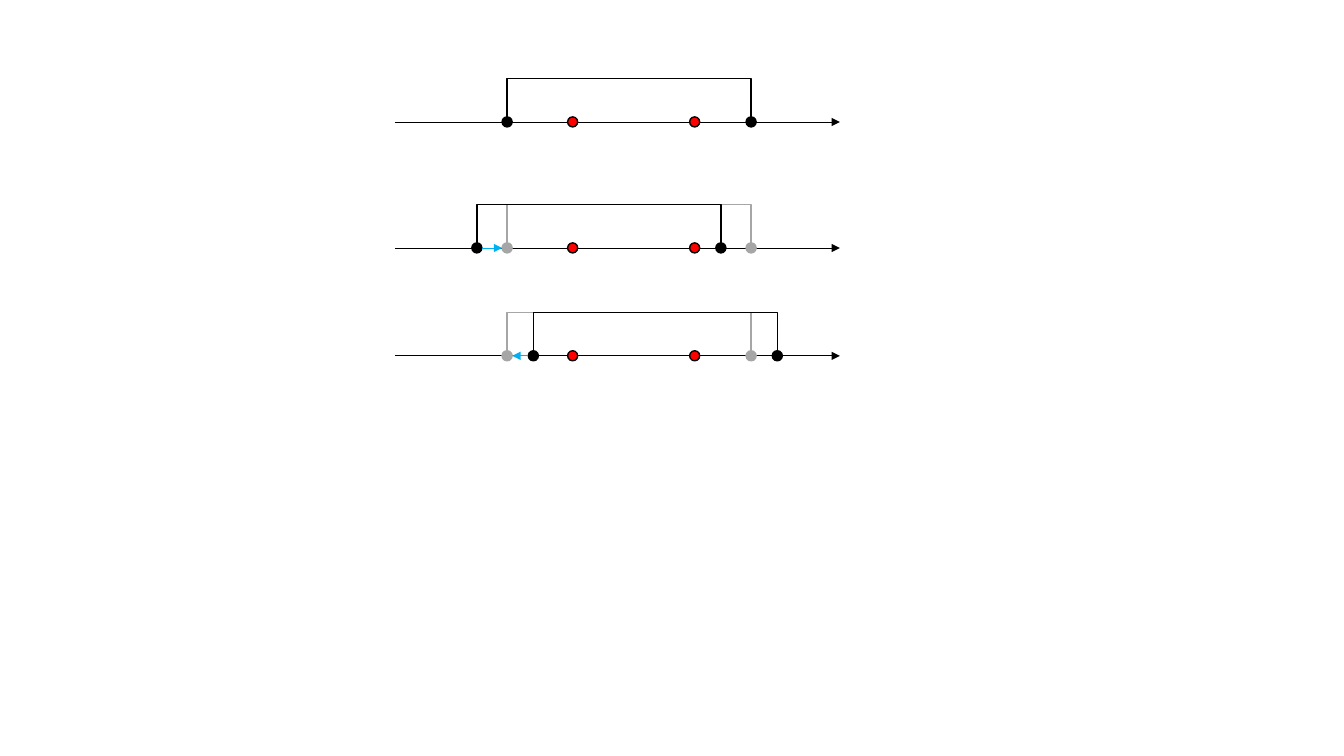
from dataclasses import dataclass

from lxml.etree import SubElement
from pptx import Presentation
from pptx.dml.color import RGBColor
from pptx.enum.shapes import MSO_CONNECTOR as Connector, MSO_SHAPE as Shape
from pptx.oxml.ns import qn
from pptx.util import Inches, Pt


@dataclass(frozen=True)
class Theme:
    """Colours and line widths of the slide."""
    black: RGBColor = RGBColor.from_string("000000")
    grey: RGBColor = RGBColor.from_string("A6A6A6")
    red: RGBColor = RGBColor.from_string("FF0000")
    blue: RGBColor = RGBColor.from_string("00B0F0")
    outline: float = 1
    arrow: float = 0.5


@dataclass(frozen=True)
class Box:
    """Area of one number line, in inches; the axis is its bottom edge."""
    left: float
    top: float
    width: float
    height: float

    @property
    def axis(self):
        """Return the height of the axis on the slide."""
        return self.top + self.height


THEME = Theme()
SLIDE_SIZE = (13.33, 7.5)
ROW_LEFT, ROW_WIDTH, ROW_HEIGHT = 3.92, 4.41, 0.43
ROWS = [(0.78, 0), (2.03, -0.3), (3.1, 0.26)]
DOT = 0.1
HOME, SPAN = 1.11, 2.42
TARGETS = (1.76, 2.97)


def add_arrow(shapes, start, end, y, color):
    """Draw a horizontal line with a triangle at its end."""
    arrow = shapes.add_connector(
        Connector.STRAIGHT, Inches(start), Inches(y), Inches(end), Inches(y))
    arrow.line.color.rgb = color
    arrow.line.width = Pt(THEME.arrow)
    SubElement(arrow.line._get_or_add_ln(), qn("a:tailEnd"), type="triangle")
    SubElement(arrow._element.spPr, qn("a:effectLst"))


def set_outline(shape, color):
    """Give a shape its outline and no shadow."""
    shape.shadow.inherit = False
    shape.line.color.rgb = color
    shape.line.width = Pt(THEME.outline)


def add_dot(shapes, x, y, fill, outline):
    """Draw a dot centred on a point."""
    dot = shapes.add_shape(Shape.OVAL, Inches(x - DOT / 2), Inches(y - DOT / 2),
                           Inches(DOT), Inches(DOT))
    dot.fill.solid()
    dot.fill.fore_color.rgb = fill
    set_outline(dot, outline)


def add_bracket(slide, box, offset, color):
    """Draw a grouped bracket with a dot at each foot."""
    shapes = slide.shapes.add_group_shape().shapes
    left = box.left + offset
    right = left + SPAN
    for x in (right, left):
        add_dot(shapes, x, box.axis, color, color)
    builder = shapes.build_freeform(Inches(left), Inches(box.axis), scale=1.0)
    corners = [(left, box.top), (right, box.top), (right, box.axis)]
    builder.add_line_segments(
        [(Inches(x), Inches(y)) for x, y in corners], close=False)
    bracket = builder.convert_to_shape()
    bracket.fill.background()
    set_outline(bracket, color)


def add_number_line(slide, box, shift):
    """Draw an axis, its targets, and a bracket moved by the shift."""
    add_arrow(slide.shapes, box.left, box.left + box.width, box.axis, THEME.black)
    for target in TARGETS:
        add_dot(slide.shapes, box.left + target, box.axis, THEME.red, THEME.black)
    if shift:
        add_bracket(slide, box, HOME, THEME.grey)
    add_bracket(slide, box, HOME + shift, THEME.black)
    if shift:
        home = box.left + HOME
        edge = DOT / 2 if shift > 0 else -DOT / 2
        add_arrow(slide.shapes, home + shift - edge, home + edge, box.axis, THEME.blue)


def main():
    """Build the slide and save it."""
    presentation = Presentation()
    presentation.slide_width, presentation.slide_height = map(Inches, SLIDE_SIZE)
    slide = presentation.slides.add_slide(presentation.slide_layouts[6])
    for top, shift in ROWS:
        add_number_line(slide, Box(ROW_LEFT, top, ROW_WIDTH, ROW_HEIGHT), shift)
    presentation.save("out.pptx")


if __name__ == "__main__":
    main()
